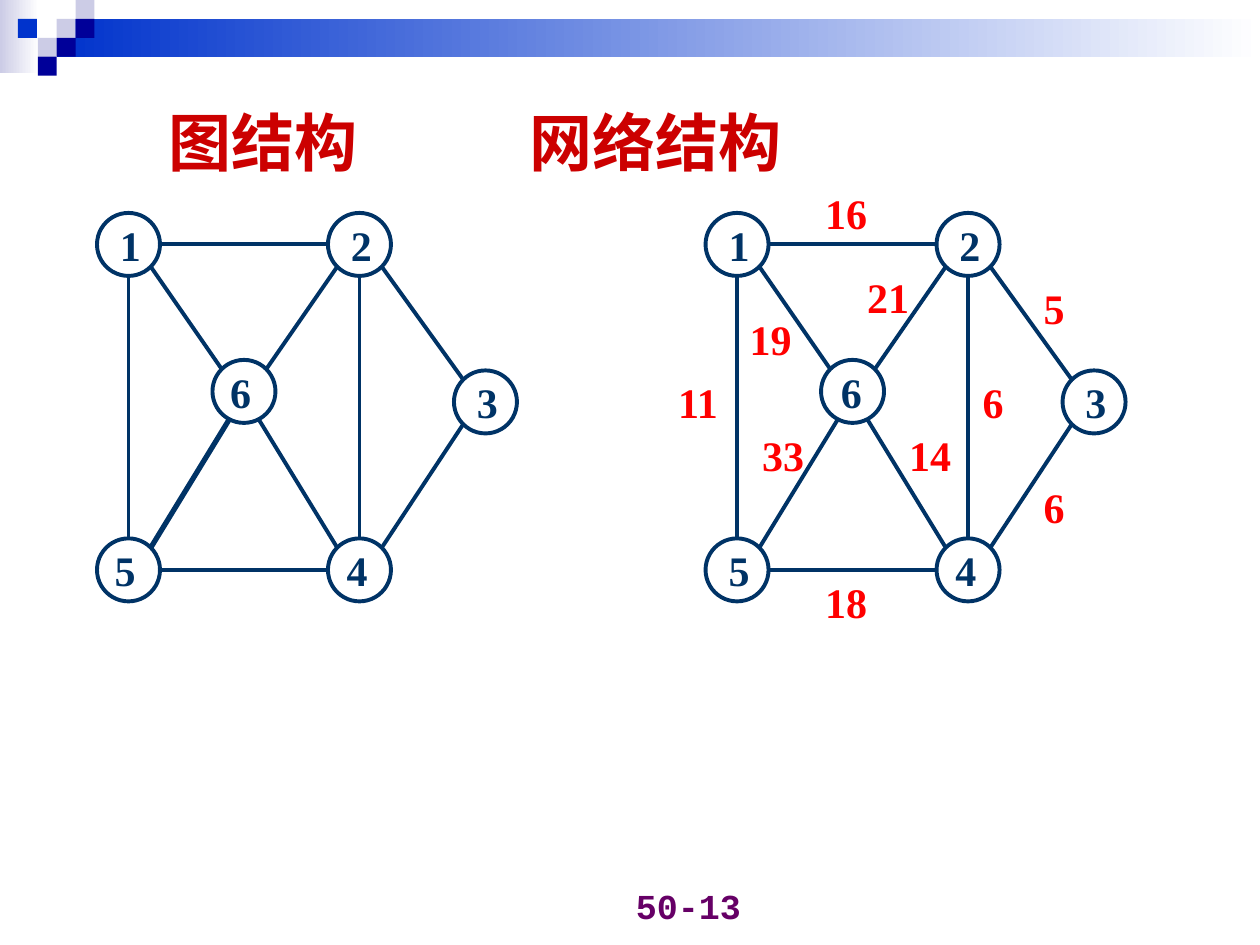
"""Build a slide that sets a plain graph beside a weighted network."""
import pptx
import pptx.dml.color
import pptx.enum.dml
import pptx.enum.shapes
import pptx.enum.text
import pptx.oxml.ns
import pptx.util
from lxml import etree

RGB = pptx.dml.color.RGBColor
SHAPE = pptx.enum.shapes.MSO_SHAPE
ALIGN = pptx.enum.text.PP_ALIGN
ANCHOR = pptx.enum.text.MSO_ANCHOR
IN, PT = pptx.util.Inches, pptx.util.Pt

WHITE = RGB(0xFF, 0xFF, 0xFF)
LAVENDER = RGB(0xCC, 0xCC, 0xE6)
BLUE = RGB(0x00, 0x33, 0xCC)
DARK_BLUE = RGB(0x00, 0x00, 0x99)
NAVY = RGB(0x00, 0x33, 0x66)
CRIMSON = RGB(0xCC, 0x00, 0x00)
RED = RGB(0xFF, 0x00, 0x00)
PURPLE = RGB(0x66, 0x00, 0x66)

TITLES = ("图结构", "网络结构")
TITLE_TAB = 2.86
PAGE = "50-13"

TILE = 0.15
BANDS = [((0, 0, 0.31, 0.58), LAVENDER), ((0.45, 0.15, 9.55, 0.3), BLUE)]
TILES = [(3, 1, LAVENDER), (4, 0, LAVENDER), (4, 1, DARK_BLUE), (2, 2, LAVENDER),
         (0.95, 1, BLUE), (3, 2, DARK_BLUE), (2, 3, DARK_BLUE)]

CELL = 1 / 12
NODE = 6
TOP = 1.94
NODES = {1: (0, 0), 2: (22, 0), 3: (34, 15), 4: (22, 31), 5: (0, 31), 6: (11, 14)}
EDGES = [(2, 6), (3, 4), (6, 5), (6, 4), (1, 5), (5, 4), (1, 2), (2, 3), (1, 6), (2, 4)]
EXITS = {(6, 5): (-1, 2), (6, 4): (1, 2)}
WEIGHTS = [("11", -6.8, 12), ("33", 1.2, 17), ("18", 7.2, 31), ("14", 15.2, 17),
           ("6", 22.2, 12), ("6", 28, 22), ("5", 28, 3), ("16", 7.2, -6),
           ("19", 0, 6), ("21", 11.2, 2)]
GRAPHS = [
    {"left": 1.02, "heavy": (6, 5), "weights": [],
     "shifts": {1: 1, 2: 1, 3: 1, 4: 0.6, 5: 0.5, 6: 0.5}},
    {"left": 5.85, "heavy": None, "weights": WEIGHTS,
     "shifts": {1: 1, 2: 1, 3: 1, 4: 0.6, 5: 1, 6: 0.7}},
]

TITLE_FONT = {"name": "Noto Sans CJK SC", "size": PT(36), "bold": True}
LABEL_FONT = {"name": "Times New Roman", "size": PT(24), "bold": True}
PAGE_FONT = {"name": "Courier New", "size": PT(20), "bold": True}


def add_shape(slide, kind, box, color, line=None):
    sp = slide.shapes.add_shape(kind, *map(IN, box))
    sp.shadow.inherit = False
    sp.fill.solid()
    sp.fill.fore_color.rgb = color
    if line is None:
        sp.line.fill.background()
    else:
        sp.line.color.rgb = line
        sp.line.width = PT(2.25)
    return sp


def add_band(slide, box, color):
    fill = add_shape(slide, SHAPE.RECTANGLE, box, color).fill
    fill.gradient()
    fill.gradient_angle = 0
    for stop, rgb, place in zip(fill.gradient_stops, (color, WHITE), (0, 1)):
        stop.color.rgb = rgb
        stop.position = place


def add_text(slide, text, box, font, color, wrap=False):
    tf = slide.shapes.add_textbox(*map(IN, box)).text_frame
    tf.word_wrap = wrap
    p = tf.paragraphs[0]
    r = p.add_run()
    r.text = text
    for key, value in font.items():
        setattr(r.font, key, value)
    r.font.color.rgb = color
    return tf


def add_title(slide):
    tf = add_text(slide, "\t".join(TITLES), (1.22, 0.76, 6.75, 0.72), TITLE_FONT, CRIMSON, True)
    for key, value in {"left": 0.12, "right": 0.12, "top": 0.06, "bottom": 0.06}.items():
        setattr(tf, "margin_" + key, IN(value))
    p = tf.paragraphs[0]
    qn = pptx.oxml.ns.qn
    tabs = etree.SubElement(p._p.get_or_add_pPr(), qn("a:tabLst"))
    etree.SubElement(tabs, qn("a:tab"), pos=str(IN(TITLE_TAB)), algn="l")
    etree.SubElement(p.runs[0]._r.get_or_add_rPr(), qn("a:ea"), typeface=TITLE_FONT["name"])


def add_page_number(slide):
    tf = add_text(slide, PAGE, (3.65, 6.9, 2.33, 0.5), PAGE_FONT, PURPLE, True)
    tf.vertical_anchor = ANCHOR.BOTTOM
    tf.paragraphs[0].alignment = ALIGN.RIGHT


def sign(n):
    return (n > 0) - (n < 0)


def port(a, b):
    (x, y), (x2, y2) = NODES[a], NODES[b]
    dx, dy = sign(x2 - x), sign(y2 - y)
    reach = NODE / 2 / (dx * dx + dy * dy) ** 0.5
    ex, ey = EXITS.get((a, b), (dx * reach, dy * reach))
    return x + ex, y + ey


def add_graph(slide, graph):
    def place(x, y):
        return graph["left"] + x * CELL, TOP + y * CELL

    def add_label(text, x, y, color):
        box = (*place(x, y), 0.2 + len(text) / 6, NODE * CELL)
        add_text(slide, text, box, LABEL_FONT, color)

    for a, b in EDGES:
        ends = (*place(*port(a, b)), *place(*port(b, a)))
        line = slide.shapes.add_connector(pptx.enum.shapes.MSO_CONNECTOR.STRAIGHT, *map(IN, ends))
        line.line.color.rgb = NAVY
        line.line.width = PT(3 if (a, b) == graph["heavy"] else 2.25)
        etree.SubElement(line._element.spPr, pptx.oxml.ns.qn("a:effectLst"))
    for number, (x, y) in NODES.items():
        corner = x - NODE / 2, y - NODE / 2
        box = (*place(*corner), NODE * CELL, NODE * CELL)
        add_shape(slide, SHAPE.OVAL, box, WHITE, NAVY)
        add_label(str(number), corner[0] + graph["shifts"][number], corner[1], NAVY)
    for text, x, y in graph["weights"]:
        add_label(text, x, y, RED)


def main():
    prs = pptx.Presentation()
    prs.slide_width, prs.slide_height = IN(10), IN(7.5)
    slide = prs.slides.add_slide(prs.slide_layouts[6])
    for box, color in BANDS:
        add_band(slide, box, color)
    for col, row, color in TILES:
        add_shape(slide, SHAPE.RECTANGLE, (col * TILE, row * TILE, TILE, TILE), color)
    add_page_number(slide)
    add_title(slide)
    for graph in GRAPHS:
        add_graph(slide, graph)
    prs.save("out.pptx")


if __name__ == "__main__":
    main()
